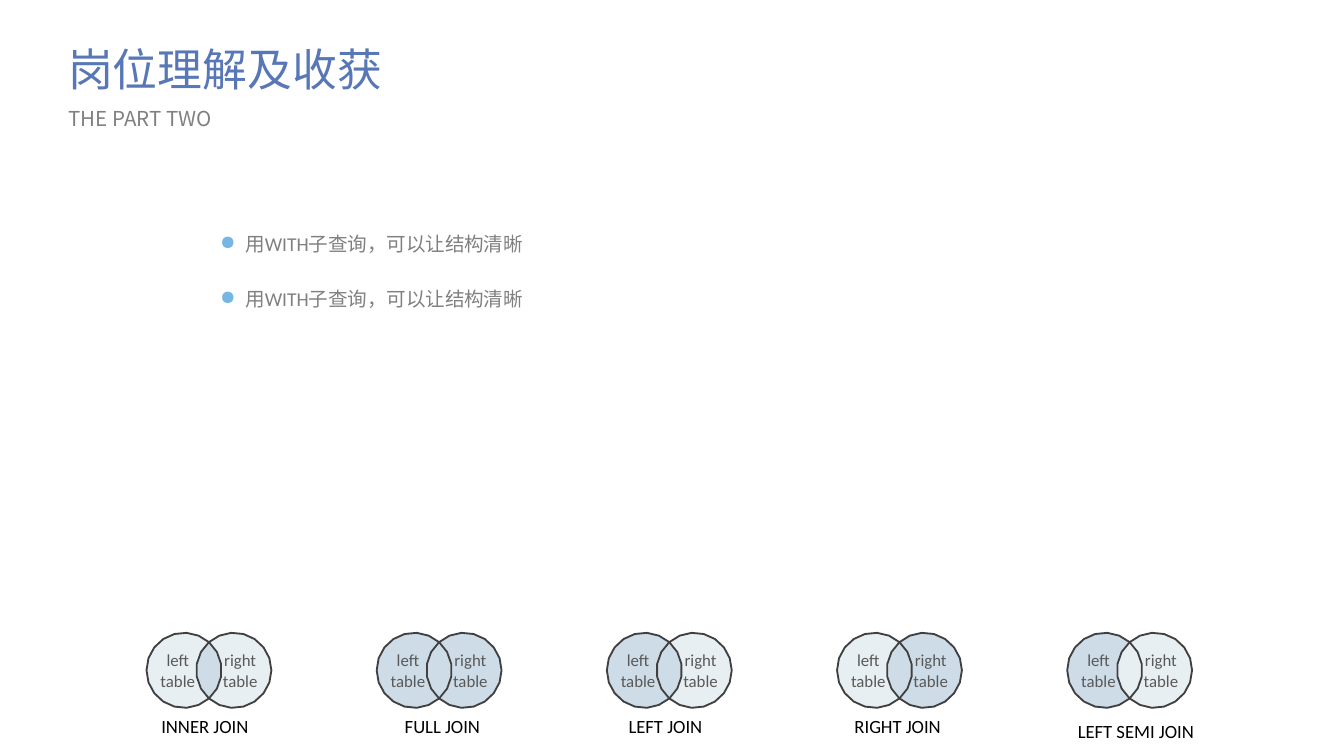
import math

import pptx
import pptx.dml.color
import pptx.enum.text
import pptx.oxml
import pptx.oxml.ns
import pptx.util

Cm = pptx.util.Cm
RGBColor = pptx.dml.color.RGBColor
Align = pptx.enum.text.PP_ALIGN

TITLE_TOP = RGBColor(0x58, 0x77, 0xB6)
TITLE_BOTTOM = RGBColor(0x46, 0x5E, 0x96)
GRAY = RGBColor(0x80, 0x80, 0x80)
DARK_GRAY = RGBColor(0x59, 0x59, 0x59)
BLACK = RGBColor(0, 0, 0)
WHITE = RGBColor(0xFF, 0xFF, 0xFF)
OUTLINE = RGBColor(0x40, 0x40, 0x40)
BULLET = RGBColor(0x75, 0xB6, 0xE5)
SELECTED = RGBColor(0xCD, 0xDC, 0xE7)
UNSELECTED = RGBColor(0xE8, 0xEF, 0xF3)

CJK_FONT = "Noto Sans CJK SC"
LATIN_FONT = "Calibri"

# Venn geometry in centimetres
RADIUS = 0.71
CENTER_OFFSET = 0.47
CENTER_Y = 12.67
FIRST_X = 3.95
PITCH = 4.35
HALF_ANGLE = math.degrees(math.acos(CENTER_OFFSET / RADIUS))
INNER_STEPS = 5
OUTER_STEPS = 14

# Label, its left and top, then fills of left part, overlap and right part
JOINS = [
    ("INNER JOIN", 2.8, 13.39, UNSELECTED, SELECTED, UNSELECTED),
    ("FULL JOIN", 7.4, 13.39, SELECTED, SELECTED, SELECTED),
    ("LEFT JOIN", 11.63, 13.39, SELECTED, SELECTED, UNSELECTED),
    ("RIGHT JOIN", 15.9, 13.39, UNSELECTED, SELECTED, SELECTED),
    ("LEFT SEMI JOIN", 20.12, 13.48, SELECTED, UNSELECTED, UNSELECTED),
]


def write_text(frame, text, size, color, font=LATIN_FONT, align=Align.LEFT,
               line_spacing=None, gradient_end=None):
    paragraph = frame.paragraphs[0]
    paragraph.alignment = align
    if line_spacing:
        paragraph.line_spacing = line_spacing
    run = paragraph.add_run()
    run.text = text
    run.font.size = pptx.util.Pt(size)
    run.font.name = font
    if gradient_end is None:
        run.font.color.rgb = color
    else:
        fill = run.font.fill
        fill.gradient()
        fill.gradient_angle = 270
        for stop, stop_color in zip(fill.gradient_stops, (color, gradient_end)):
            stop.color.rgb = stop_color
    east_asian = pptx.oxml.parse_xml(
        f'<a:ea {pptx.oxml.ns.nsdecls("a")} typeface="{CJK_FONT}"/>')
    run.font._element.find(pptx.oxml.ns.qn("a:latin")).addnext(east_asian)
    return paragraph


def add_label(slide, text, left, top, width, height, **text_format):
    label = slide.shapes.add_textbox(Cm(left), Cm(top), Cm(width), Cm(height))
    label.text_frame.word_wrap = True
    label.text_frame.auto_size = pptx.enum.text.MSO_AUTO_SIZE.SHAPE_TO_FIT_TEXT
    return write_text(label.text_frame, text, **text_format)


def add_bullet_line(slide, text, top):
    paragraph = add_label(slide, text, 3.91, top, 12.27, 0.86,
                          size=10.5, color=GRAY, line_spacing=1.5)
    properties = paragraph._p.get_or_add_pPr()
    properties.set("marL", str(Cm(0.48)))
    properties.set("indent", str(-Cm(0.48)))
    namespace = pptx.oxml.ns.nsdecls("a")
    for xml in (f'<a:buClr {namespace}><a:srgbClr val="{BULLET}"/></a:buClr>',
                f'<a:buChar {namespace} char="●"/>'):
        properties.append(pptx.oxml.parse_xml(xml))


def arc(center_x, start, end, steps):
    """Points on a circle, with angles in degrees clockwise from the right."""
    angles = [math.radians(start + (end - start) * i / steps)
              for i in range(steps + 1)]
    return [(Cm(center_x + RADIUS * math.cos(a)),
             Cm(CENTER_Y + RADIUS * math.sin(a))) for a in angles]


def add_region(group, points, fill, line, text=None):
    builder = group.shapes.build_freeform(*points[0])
    builder.add_line_segments(points[1:], close=True)
    region = builder.convert_to_shape()
    region.shadow.inherit = False
    region.fill.solid()
    region.fill.fore_color.rgb = fill
    region.line.color.rgb = line
    region.line.width = pptx.util.Pt(1)
    if text:
        frame = region.text_frame
        frame.word_wrap = True
        frame.margin_left = frame.margin_right = Cm(0.2)
        frame.margin_top = frame.margin_bottom = 0
        frame.vertical_anchor = pptx.enum.text.MSO_ANCHOR.MIDDLE
        write_text(frame, text, size=9, color=DARK_GRAY, align=Align.CENTER)


def add_venn(slide, middle_x, left_fill, overlap_fill, right_fill):
    left_x, right_x = middle_x - CENTER_OFFSET, middle_x + CENTER_OFFSET
    # Inner edges: both run from the top crossing to the bottom one
    left_edge = arc(right_x, 180 + HALF_ANGLE, 180 - HALF_ANGLE, INNER_STEPS)
    right_edge = arc(left_x, -HALF_ANGLE, HALF_ANGLE, INNER_STEPS)
    # Outer edges: both run from the bottom crossing to the top one
    left_outer = arc(left_x, HALF_ANGLE, 360 - HALF_ANGLE, OUTER_STEPS)
    right_outer = arc(right_x, 180 - HALF_ANGLE, HALF_ANGLE - 180, OUTER_STEPS)

    group = slide.shapes.add_group_shape()
    add_region(group, right_edge + left_edge[-2:0:-1], overlap_fill, WHITE)
    add_region(group, left_outer + left_edge[1:-1], left_fill, OUTLINE, "left table")
    add_region(group, right_outer + right_edge[1:-1], right_fill, OUTLINE, "right table")


def main():
    presentation = pptx.Presentation()
    presentation.slide_width = Cm(25.4)
    presentation.slide_height = Cm(14.29)
    slide = presentation.slides.add_slide(presentation.slide_layouts[6])

    # Heading
    add_label(slide, "岗位理解及收获", 1.04, 0.66, 6.58, 1.27, size=24,
              color=TITLE_TOP, gradient_end=TITLE_BOTTOM, font=CJK_FONT)
    add_label(slide, "THE PART TWO", 1.04, 1.88, 5.16, 0.74, size=11,
              color=GRAY, font=CJK_FONT)

    # Join diagrams
    for index, (name, left, top, *fills) in enumerate(JOINS):
        add_venn(slide, FIRST_X + index * PITCH, *fills)
        add_label(slide, name, left, top, 3.38 if "SEMI" in name else 2.26, 0.69,
                  size=10, color=BLACK)

    # Bullet lines
    for top in (4.04, 5.08):
        add_bullet_line(slide, "用WITH子查询，可以让结构清晰", top)

    presentation.save("out.pptx")


if __name__ == "__main__":
    main()
